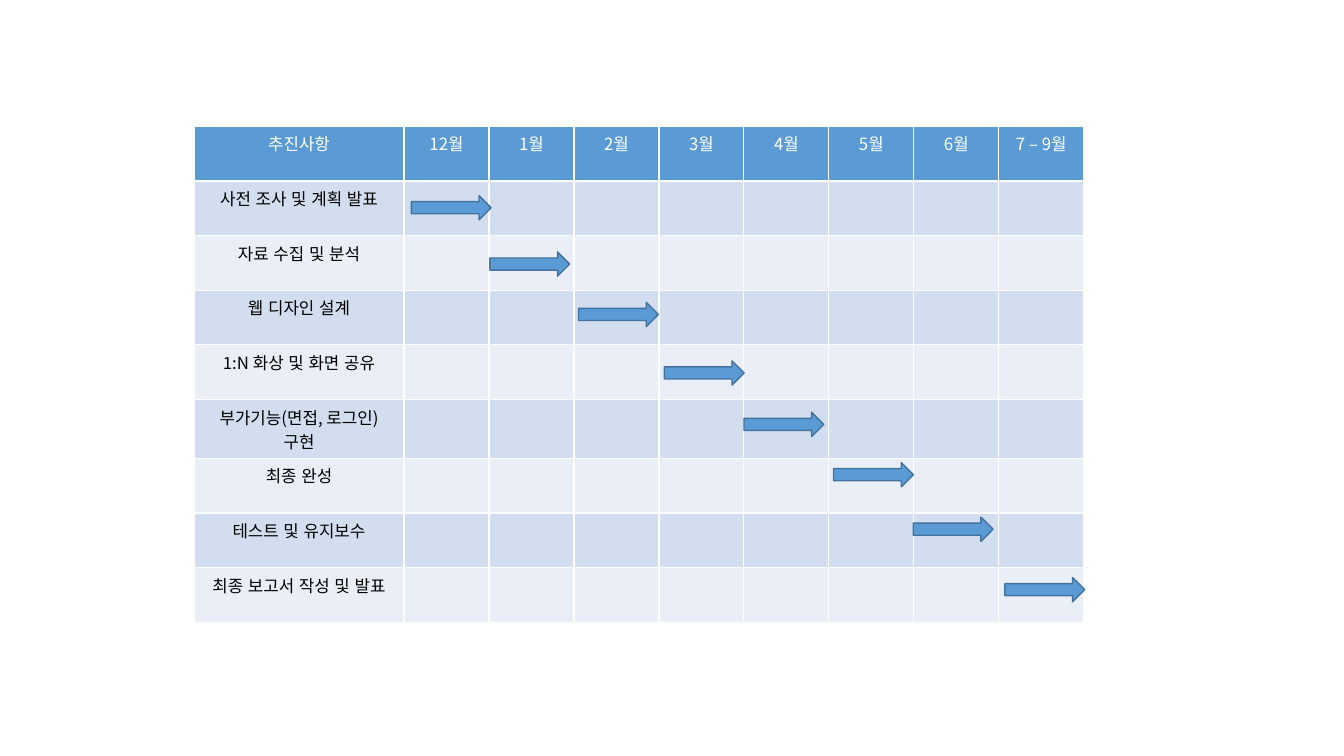
from lxml.etree import SubElement
from pptx import Presentation
from pptx.dml.color import RGBColor as RGB
from pptx.enum.lang import MSO_LANGUAGE_ID as LANG
from pptx.enum.shapes import MSO_SHAPE as SHAPE
from pptx.enum.text import PP_ALIGN as ALIGN
from pptx.oxml.ns import qn
from pptx.util import Pt

COLORS = {"header": "5B9BD5", "odd": "D2DEEF", "even": "EAEFF7",
          "arrow": "5B9BD5", "outline": "43739E", "light": "FFFFFF", "dark": "000000"}
FONT = {"name": "Noto Sans CJK KR", "size": Pt(12), "bold": False, "language_id": LANG.KOREAN}
HEADERS = ["추진사항", "12월", *(f"{m}월" for m in range(1, 7)), "7 – 9월"]
TASKS = ["사전 조사 및 계획 발표", "자료 수집 및 분석", "웹 디자인 설계",
         "1:N 화상 및 화면 공유", "부가기능(면접, 로그인) 구현", "최종 완성",
         "테스트 및 유지보수", "최종 보고서 작성 및 발표"]
ARROW_OFFSETS = [(5.2, 10.5), (0.6, 11.7), (3.3, 8.7), (3.8, 11.4),
                 (0, 9.1), (3.3, 6), (-0.5, 5.9), (4.3, 10)]
ARROW_SIZE = 57, 17.3
LABEL_W = 150


def rgb(name):
    """Return the named colour."""
    return RGB.from_string(COLORS[name])


def write_cell(cell, text, color):
    """Write centred text into a table cell."""
    p = cell.text_frame.paragraphs[0]
    p.alignment = ALIGN.CENTER
    r = p.add_run()
    r.text = text
    for key, value in FONT.items():
        setattr(r.font, key, value)
    r.font.color.rgb = rgb(color)
    SubElement(r.font._element, qn("a:ea"), typeface=FONT["name"])


def add_schedule(s, x, y, w, h):
    """Add the table of tasks and months."""
    rows = [HEADERS] + [[task] for task in TASKS]
    tbl = s.shapes.add_table(len(rows), len(HEADERS), Pt(x), Pt(y), Pt(w), Pt(h)).table
    for i, col in enumerate(tbl.columns):
        col.width = Pt((w - LABEL_W) / (len(HEADERS) - 1) if i else LABEL_W)
    for i, row in enumerate(tbl.rows):
        row.height = Pt(h / len(rows))
        fill = "header" if i == 0 else "odd" if i % 2 else "even"
        for cell in row.cells:
            cell.fill.solid()
            cell.fill.fore_color.rgb = rgb(fill)
        for cell, text in zip(row.cells, rows[i]):
            write_cell(cell, text, "dark" if i else "light")


def add_arrows(s, x, y, w, h):
    """Add one arrow per task, stepping one month to the right each row."""
    month_w = (w - LABEL_W) / len(TASKS)
    row_h = h / (len(TASKS) + 1)
    for i, (dx, dy) in enumerate(ARROW_OFFSETS):
        left = x + LABEL_W + i * month_w + dx
        top = y + (i + 1) * row_h + dy
        sp = s.shapes.add_shape(SHAPE.RIGHT_ARROW, Pt(left), Pt(top), *map(Pt, ARROW_SIZE))
        sp.shadow.inherit = False
        sp.fill.solid()
        sp.fill.fore_color.rgb = rgb("arrow")
        sp.line.color.rgb = rgb("outline")
        sp.line.width = Pt(1)


def main():
    """Build the project schedule slide."""
    prs = Presentation()
    prs.slide_width, prs.slide_height = Pt(960), Pt(540)
    s = prs.slides.add_slide(prs.slide_layouts[6])
    box = 138.6, 90.2, 635.6, 351.4
    add_schedule(s, *box)
    add_arrows(s, *box)
    prs.save("out.pptx")


if __name__ == "__main__":
    main()
